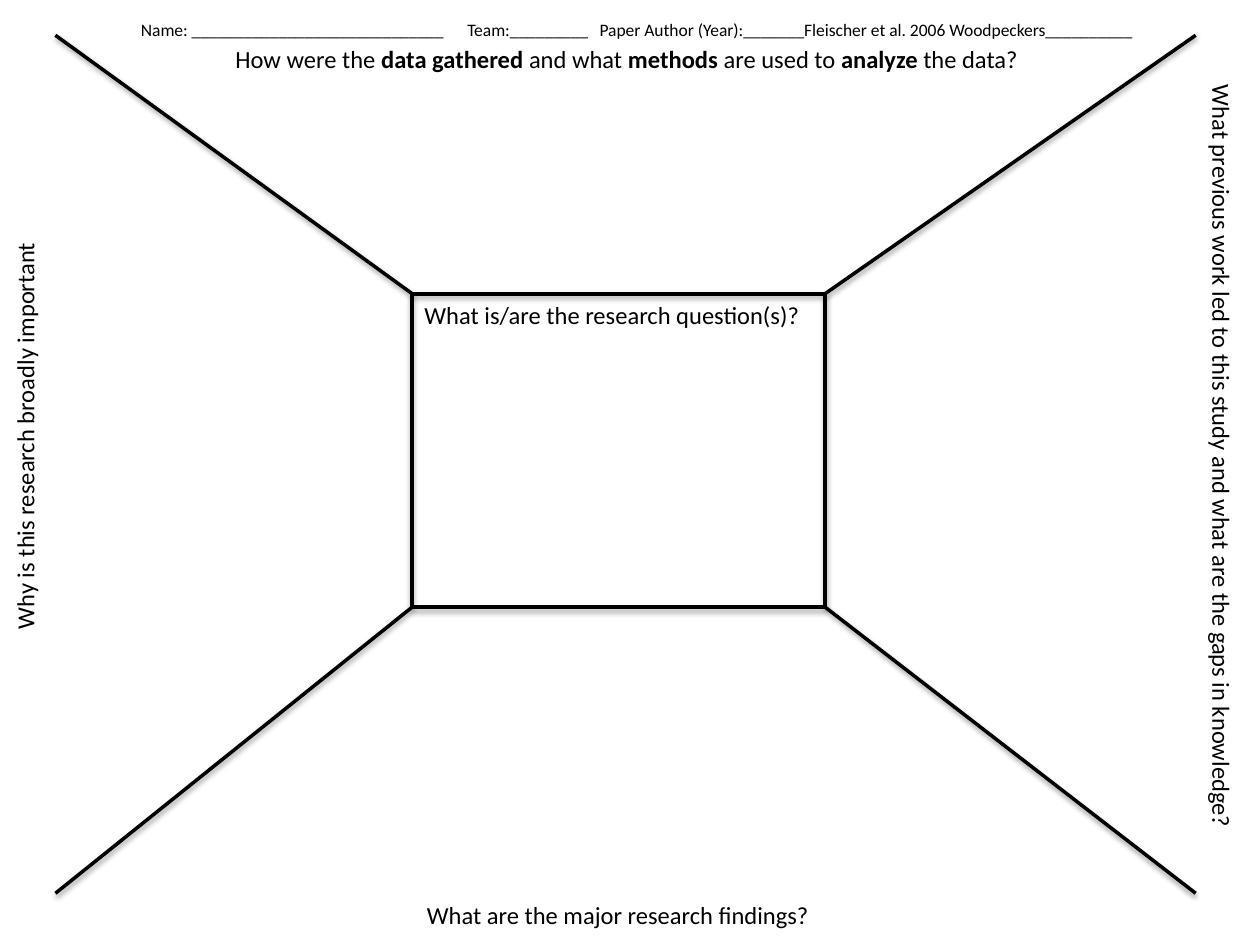
from lxml import etree
from pptx import Presentation
from pptx import util as u
from pptx.dml.color import RGBColor
from pptx.enum import shapes, text
from pptx.oxml.ns import qn

BLACK = RGBColor(0, 0, 0)
WHITE = RGBColor(255, 255, 255)


def write(frame, content, size=14, align=text.PP_ALIGN.LEFT, font="Calibri", color=BLACK):
    """Fill a text frame; parts between asterisks are bold."""
    paragraph = frame.paragraphs[0]
    paragraph.alignment = align
    for index, part in enumerate(content.split("*")):
        if part:
            run = paragraph.add_run()
            run.text = part
            run.font.name = font
            run.font.size = u.Pt(size)
            run.font.bold = index % 2 == 1
            run.font.color.rgb = color
    return paragraph


class Worksheet:
    def __init__(self, slide, line_color=BLACK):
        self.slide = slide
        self.line_color = line_color

    def outline(self, shape, width, opacity, distance):
        shape.line.color.rgb = self.line_color
        shape.line.width = u.Pt(width)
        properties = shape._element.spPr
        effects = etree.SubElement(properties, qn("a:effectLst"))
        shadow = etree.SubElement(effects, qn("a:outerShdw"), blurRad=str(u.Pt(3.1)),
                                  dist=str(u.Pt(distance)), dir="5400000", rotWithShape="0")
        color = etree.SubElement(shadow, qn("a:srgbClr"), val=str(BLACK))
        etree.SubElement(color, qn("a:alpha"), val=str(opacity * 1000))

    def box(self, left, top, right, bottom):
        shape = self.slide.shapes.add_shape(
            shapes.MSO_SHAPE.RECTANGLE, u.Inches(left), u.Inches(top),
            u.Inches(right - left), u.Inches(bottom - top))
        shape.fill.background()
        self.outline(shape, width=2.25, opacity=35, distance=1.8)

    def line(self, start, end):
        points = [u.Inches(value) for value in (*start, *end)]
        connector = self.slide.shapes.add_connector(shapes.MSO_CONNECTOR.STRAIGHT, *points)
        self.outline(connector, width=2, opacity=38, distance=1.6)

    def label(self, content, left, top, width, height=0.34, rotation=0, wrap=False, **style):
        shape = self.slide.shapes.add_textbox(*map(u.Inches, (left, top, width, height)))
        shape.rotation = rotation
        shape.text_frame.word_wrap = wrap
        return write(shape.text_frame, content, **style)


def set_tabs(paragraph, positions):
    tabs = etree.SubElement(paragraph._p.get_or_add_pPr(), qn("a:tabLst"))
    for position in positions:
        etree.SubElement(tabs, qn("a:tab"), pos=str(u.Inches(position)), algn="l")


presentation = Presentation()
presentation.slide_width = u.Inches(10)
presentation.slide_height = u.Inches(7.5)
slide = presentation.slides.add_slide(presentation.slide_layouts[6])
slide.background.fill.solid()
slide.background.fill.fore_color.rgb = WHITE
sheet = Worksheet(slide)

# Central question box
LEFT, TOP, RIGHT, BOTTOM = 3.27, 2.33, 6.55, 4.82
sheet.label("What is/are the research question(s)?", LEFT, TOP, 3.22, BOTTOM - TOP, wrap=True)
sheet.box(LEFT, TOP, RIGHT, BOTTOM)

# Diagonals from the box corners to the page corners
for inner_x, outer_x in ((RIGHT, 9.49), (LEFT, 0.44)):
    for inner_y, outer_y in ((TOP, 0.28), (BOTTOM, 7.09)):
        sheet.line((inner_x, inner_y), (outer_x, outer_y))

# Prompts around the box
sheet.label("What are the major research findings?", 3.27, 7.09, 3.27,
            align=text.PP_ALIGN.CENTER)
sheet.label("How were the *data gathered *and what *methods* are used to *analyze* the data?",
            1.77, 0.3, 6.57)
sheet.label("What previous work led to this study and what are the gaps in knowledge?",
            6.64, 3.46, 6.11, rotation=90)
sheet.label("Why is this research broadly important ", -1.45, 3.27, 3.3, rotation=270)

# Header fields, spaced by tab stops
header = sheet.label(
    "Name: " + "_" * 29 + "\tTeam:" + "_" * 9 + "\tPaper Author (Year):" + "_" * 7
    + "Fleischer et al. 2006 Woodpeckers" + "_" * 10,
    1.02, 0.1, 8.22, 0.27, wrap=True, size=10)
set_tabs(header, (2.59, 3.64))

presentation.save("out.pptx")
